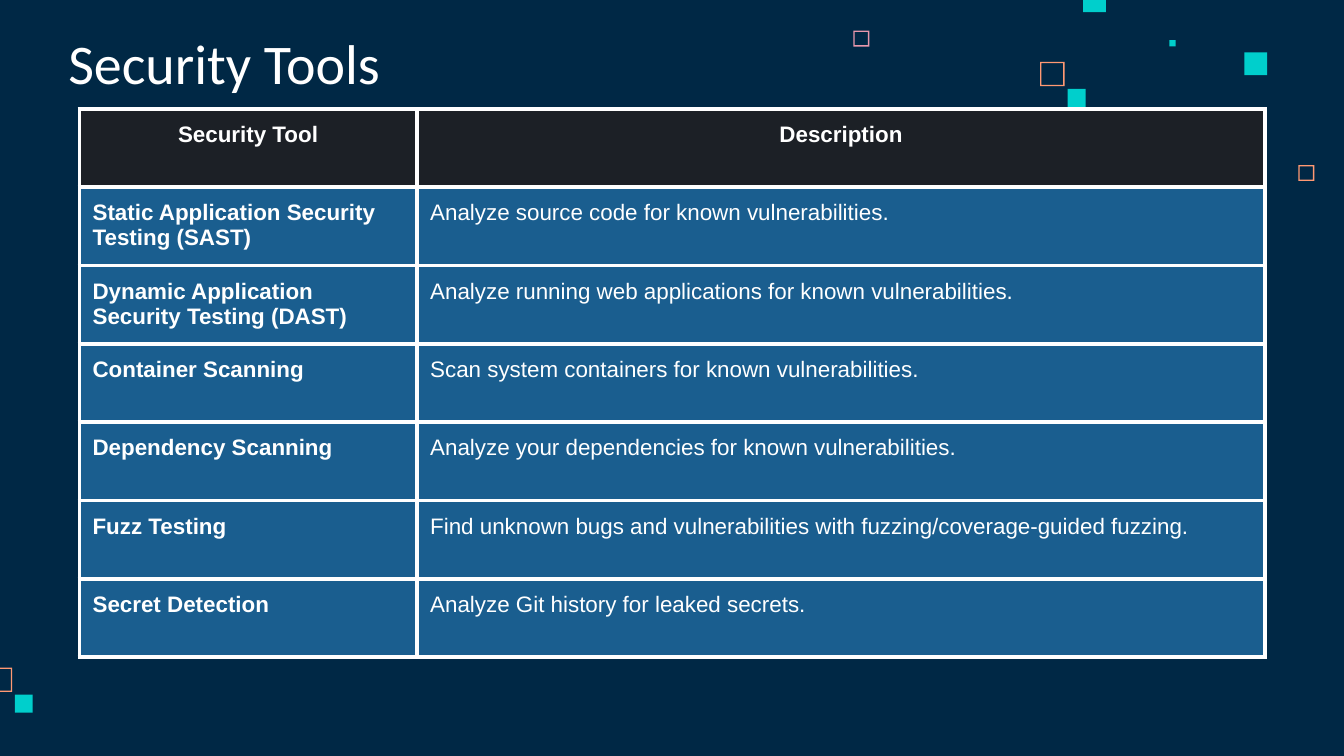
"""Builds the Security Tools slide: a title, a table of tools and scattered squares."""
import lxml.etree
import pptx
import pptx.dml.color
import pptx.enum.shapes
import pptx.enum.text
import pptx.oxml.ns
import pptx.util

Cm = pptx.util.Cm
SHAPE = pptx.enum.shapes.MSO_SHAPE
ALIGN = pptx.enum.text.PP_ALIGN
ANCHOR = pptx.enum.text.MSO_ANCHOR

NAVY, BLUE, CHARCOAL, WHITE = "002845", "1A5E8F", "1C2026", "FFFFFF"
TEAL, ORANGE, PINK = "00CFCC", "FF9973", "E898AC"

HOLLOW_SQUARES = [
    (24.54, 3.12, 0.3, ORANGE),
    (16.13, 0.58, 0.3, PINK),
    (19.66, 1.17, 0.46, ORANGE),
    (-0.23, 12.62, 0.46, ORANGE),
]
SOLID_SQUARES = [
    (22.1, 0.76, 0.12),
    (20.47, -0.2, 0.43),
    (23.52, 0.99, 0.43),
    (20.18, 1.68, 0.34),
    (0.28, 13.13, 0.34),
]
TOOLS = [
    ("Security Tool", "Description"),
    ("Static Application Security Testing (SAST)",
     "Analyze source code for known vulnerabilities."),
    ("Dynamic Application Security Testing (DAST)",
     "Analyze running web applications for known vulnerabilities."),
    ("Container Scanning", "Scan system containers for known vulnerabilities."),
    ("Dependency Scanning", "Analyze your dependencies for known vulnerabilities."),
    ("Fuzz Testing",
     "Find unknown bugs and vulnerabilities with fuzzing/coverage-guided fuzzing."),
    ("Secret Detection", "Analyze Git history for leaked secrets."),
]


def rgb(code):
    return pptx.dml.color.RGBColor.from_string(code)


def paint(fill, color):
    fill.solid()
    fill.fore_color.rgb = rgb(color)


def write_text(frame, text, font="Arial", size=12, color=WHITE, bold=False, align=ALIGN.LEFT):
    paragraph = frame.paragraphs[0]
    paragraph.alignment = align
    run = paragraph.add_run()
    run.text = text
    run.font.name = font
    run.font.size = pptx.util.Pt(size)
    run.font.bold = bold
    run.font.color.rgb = rgb(color)


def set_margins(holder, margin=0.25):
    for side in ("left", "right", "top", "bottom"):
        setattr(holder, f"margin_{side}", Cm(margin))


def add_borders(cell, color, points):
    qn = pptx.oxml.ns.qn
    properties = cell._tc.get_or_add_tcPr()
    for side in ("lnL", "lnR", "lnT", "lnB"):
        border = lxml.etree.SubElement(
            properties, qn(f"a:{side}"), w=str(pptx.util.Pt(points)))
        solid = lxml.etree.SubElement(border, qn("a:solidFill"))
        lxml.etree.SubElement(solid, qn("a:srgbClr"), val=color)


class SlideBuilder:
    """Holds the current slide and its style."""

    def __init__(self, slide, background=NAVY, stroke=0.025):
        self.slide = slide
        self.stroke = stroke
        paint(slide.background.fill, background)

    def title(self, text, left, top, width, height):
        heading = self.slide.shapes.title
        heading.left, heading.top = Cm(left), Cm(top)
        heading.width, heading.height = Cm(width), Cm(height)
        frame = heading.text_frame
        set_margins(frame)
        frame.vertical_anchor = ANCHOR.BOTTOM
        frame.auto_size = pptx.enum.text.MSO_AUTO_SIZE.NONE
        write_text(frame, text, font="Calibri", size=30)

    def square(self, left, top, size, color=TEAL, hollow=False):
        kind = SHAPE.FRAME if hollow else SHAPE.RECTANGLE
        square = self.slide.shapes.add_shape(kind, Cm(left), Cm(top), Cm(size), Cm(size))
        if hollow:
            square.adjustments[0] = self.stroke / size
        square.shadow.inherit = False
        paint(square.fill, color)
        square.line.fill.background()

    def table(self, rows, left, top, widths, row_height):
        table = self.slide.shapes.add_table(
            len(rows), len(widths), Cm(left), Cm(top),
            Cm(sum(widths)), Cm(row_height * len(rows))).table
        table.horz_banding = False
        for column, width in zip(table.columns, widths):
            column.width = Cm(width)
        for r, row in enumerate(rows):
            table.rows[r].height = Cm(row_height)
            header = r == 0
            for c, text in enumerate(row):
                cell = table.cell(r, c)
                set_margins(cell)
                add_borders(cell, WHITE, 2.25)
                paint(cell.fill, CHARCOAL if header else BLUE)
                write_text(cell.text_frame, text, bold=header or c == 0,
                           align=ALIGN.CENTER if header else ALIGN.LEFT)


def main():
    deck = pptx.Presentation()
    deck.slide_width, deck.slide_height = Cm(25.4), Cm(14.29)
    builder = SlideBuilder(deck.slides.add_slide(deck.slide_layouts[5]))
    for left, top, size, color in HOLLOW_SQUARES:
        builder.square(left, top, size, color, hollow=True)
    for left, top, size in SOLID_SQUARES:
        builder.square(left, top, size)
    builder.title("Security Tools", 1.04, 0.46, 17.02, 1.6)
    builder.table(TOOLS, 1.5, 2.06, widths=(6.38, 16.03), row_height=1.48)
    deck.save("out.pptx")


if __name__ == "__main__":
    main()
